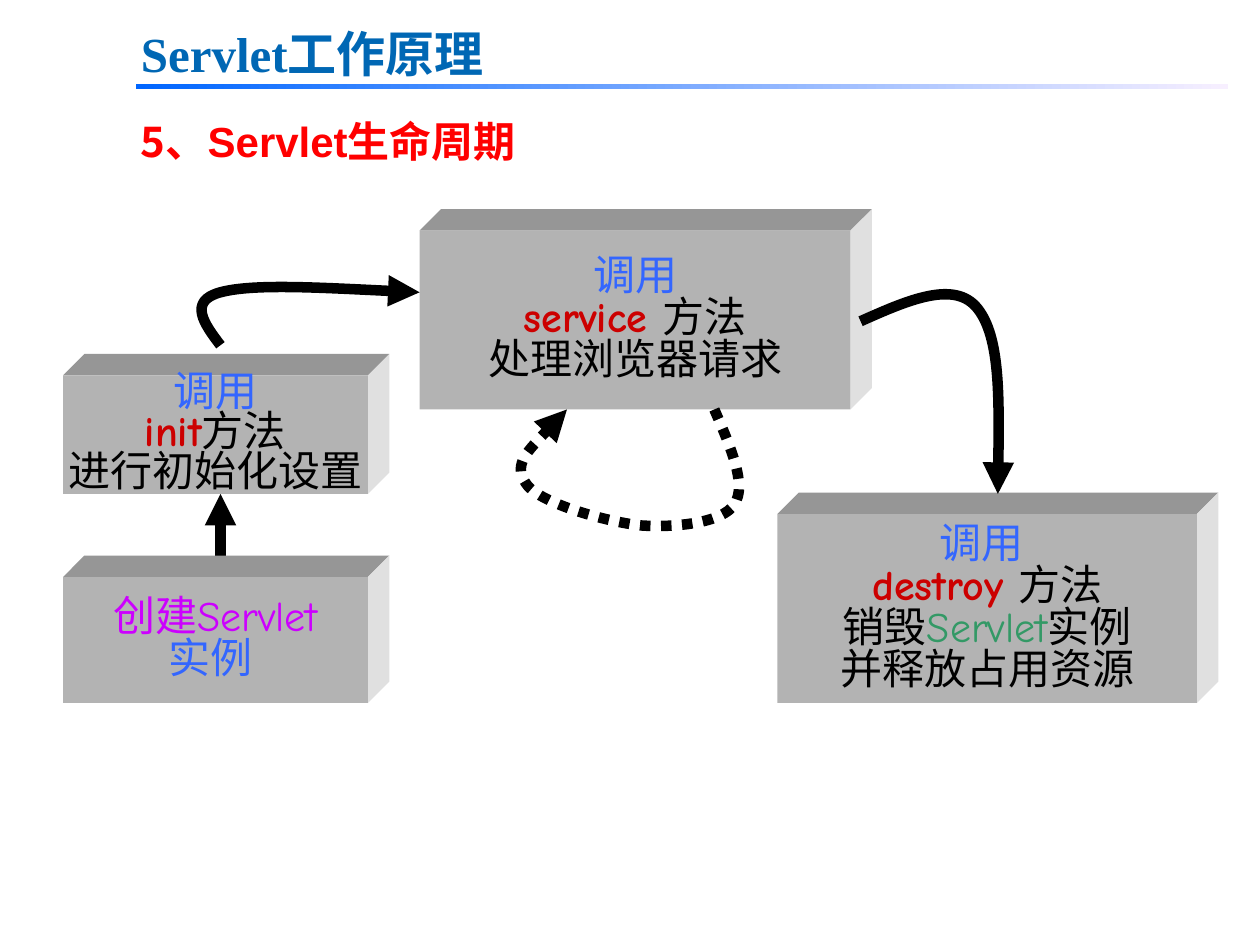
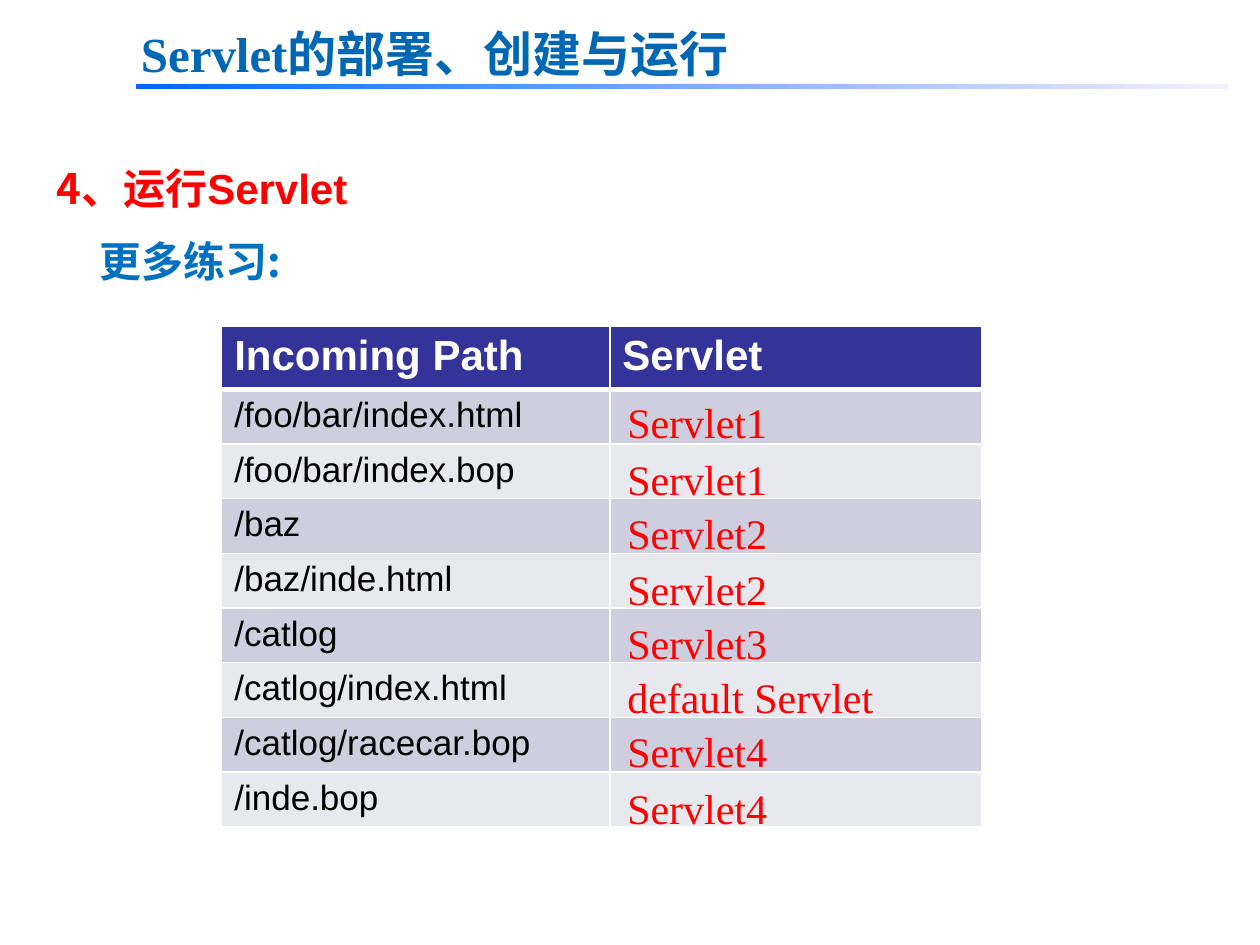
import pptx
import pptx.util
import pptx.dml.color
import pptx.enum.dml
import pptx.enum.shapes
import pptx.enum.text
import pptx.oxml
import pptx.oxml.ns

Inches = pptx.util.Inches
Pt = pptx.util.Pt
RGB = pptx.dml.color.RGBColor
ALIGN = pptx.enum.text.PP_ALIGN
RECT = pptx.enum.shapes.MSO_SHAPE.RECTANGLE
qn = pptx.oxml.ns.qn
NS = pptx.oxml.ns.nsdecls("a")

# Colours and fonts
TITLE_BLUE, NOTE_BLUE = RGB(0, 0x67, 0xB4), RGB(0, 0x70, 0xC0)
RULE_START, RULE_END = RGB(0, 0x66, 0xFF), RGB(0xF7, 0xEF, 0xFF)
RED, DARK_RED = RGB(0xFF, 0, 0), RGB(0xCC, 0, 0)
CALL_BLUE, PURPLE, GREEN = RGB(0x33, 0x66, 0xFF), RGB(0xCC, 0, 0xFF), RGB(0x33, 0x99, 0x66)
BLACK, WHITE = RGB(0, 0, 0), RGB(0xFF, 0xFF, 0xFF)
FRONT, TOP, SIDE = RGB(0xB3, 0xB3, 0xB3), RGB(0x96, 0x96, 0x96), RGB(0xE0, 0xE0, 0xE0)
HEADER, BANDS = RGB(0x33, 0x33, 0x99), (RGB(0xCE, 0xCE, 0xDE), RGB(0xE8, 0xE8, 0xEF))
CJK, SANS, SERIF, COMIC = "Noto Sans CJK SC", "Arial", "Times New Roman", "Comic Neue"
DEPTH = 0.17  # depth of the solid boxes


def add_run(p, text, font, color, size=24, bold=False):
    r = p.add_run()
    r.text = text
    r.font.name, r.font.size, r.font.bold = font, Pt(size), bold
    r.font.color.rgb = color
    ea = pptx.oxml.parse_xml(f'<a:ea {NS} typeface="{CJK}"/>')
    r.font._element.find(qn("a:latin")).addnext(ea)


def add_text(s, x, y, w, h, runs, align=ALIGN.LEFT, spacing=None):
    tf = s.shapes.add_textbox(Inches(x), Inches(y), Inches(w), Inches(h)).text_frame
    tf.word_wrap = True
    p = tf.paragraphs[0]
    p.alignment = align
    p.line_spacing = spacing
    for run in runs:
        add_run(p, *run)


def add_titled_slide(prs, title, width):
    s = prs.slides.add_slide(prs.slide_layouts[6])
    rule = s.shapes.add_shape(RECT, Inches(1.08), Inches(0.67), Inches(8.67), Inches(0.04))
    rule.shadow.inherit = False
    rule.line.fill.background()
    rule.fill.gradient()
    rule.fill.gradient_angle = 0
    for stop, color in zip(rule.fill.gradient_stops, (RULE_START, RULE_END)):
        stop.color.rgb = color
    add_text(s, 1.02, 0.14, width, 0.57, [(title, SERIF, TITLE_BLUE, 28, True)], ALIGN.JUSTIFY)
    return s


def add_outline(s, points, close):
    pts = [(Inches(x), Inches(y)) for x, y in points]
    builder = s.shapes.build_freeform(*pts[0])
    builder.add_line_segments(pts[1:], close=close)
    sp = builder.convert_to_shape()
    sp.shadow.inherit = False
    return sp


def paint(sp, color):
    sp.fill.solid()
    sp.fill.fore_color.rgb = color
    sp.line.fill.background()


def add_solid_box(s, x, y, w, h, lines, spacing=24):
    """Box with a top and a side face; lines holds the runs of each paragraph."""
    right, bottom, d = x + w, y + h, DEPTH
    top = [(x, y), (x + d, y - d), (right + d, y - d), (right, y)]
    side = [(right, y), (right + d, y - d), (right + d, bottom - d), (right, bottom)]
    for face, color in ((top, TOP), (side, SIDE)):
        paint(add_outline(s, face, True), color)
    sp = s.shapes.add_shape(RECT, Inches(x), Inches(y), Inches(w), Inches(h))
    sp.shadow.inherit = False
    paint(sp, FRONT)
    tf = sp.text_frame
    tf.word_wrap = False
    tf.vertical_anchor = pptx.enum.text.MSO_ANCHOR.MIDDLE
    for i, runs in enumerate(lines):
        p = tf.add_paragraph() if i else tf.paragraphs[0]
        p.alignment = ALIGN.CENTER
        p.line_spacing = Pt(spacing)
        p._p.get_or_add_pPr().set("rtl", "1")
        for run in runs:
            add_run(p, *run)


def style_arrow(sp, dash=None):
    sp.line.color.rgb = BLACK
    sp.line.width = Pt(6)
    if dash:
        sp.line.dash_style = dash
    sp.line._get_or_add_ln().append(pptx.oxml.parse_xml(f'<a:tailEnd {NS} type="triangle"/>'))


def add_straight_arrow(s, x1, y1, x2, y2):
    line = s.shapes.add_connector(pptx.enum.shapes.MSO_CONNECTOR.STRAIGHT,
                                  Inches(x1), Inches(y1), Inches(x2), Inches(y2))
    style_arrow(line)
    line._element.spPr.append(pptx.oxml.parse_xml(f"<a:effectLst {NS}/>"))


def add_curved_arrow(s, points, dash=None):
    """Start point, then two control points and an end point per curve."""
    sp = add_outline(s, points, False)
    sp.fill.background()
    segments = list(sp._element.iter(qn("a:lnTo")))
    for i in range(0, len(segments), 3):
        curve = pptx.oxml.parse_xml(f"<a:cubicBezTo {NS}/>")
        segments[i].addprevious(curve)
        for segment in segments[i:i + 3]:
            curve.append(segment[0])
            segment.getparent().remove(segment)
    style_arrow(sp, dash)


def add_cell(cell, text, fill, color, size, bold, bottom=1):
    # Borders come before the fill in the cell properties
    tc_pr = cell._tc.get_or_add_tcPr()
    for side, width in (("L", 1), ("R", 1), ("T", 1), ("B", bottom)):
        tc_pr.append(pptx.oxml.parse_xml(
            f'<a:ln{side} {NS} w="{Pt(width)}"><a:solidFill>'
            f'<a:srgbClr val="{WHITE}"/></a:solidFill></a:ln{side}>'))
    cell.fill.solid()
    cell.fill.fore_color.rgb = fill
    if text:
        add_run(cell.text_frame.paragraphs[0], text, SANS, color, size, bold)


def build_life_cycle(prs):
    s = add_titled_slide(prs, "Servlet工作原理", 5.09)
    add_text(s, 1.02, 0.87, 5.17, 0.5,
             [("5、", CJK, RED, 24, True), ("Servlet生命周期", SANS, RED, 24, True)])

    # Stages; the first arrow starts behind the top face of its box
    add_straight_arrow(s, 1.75, 4.5, 1.75, 3.92)
    add_solid_box(s, 0.5, 2.98, 2.42, 0.94, [
        [(" 调用 ", CJK, CALL_BLUE)],
        [("init", COMIC, DARK_RED, 24, True), ("方法", COMIC, BLACK)],
        [("进行初始化设置", COMIC, BLACK)]], spacing=23)
    add_solid_box(s, 0.5, 4.58, 2.42, 1, [
        [("创建Servlet", COMIC, PURPLE)],
        [(" 实例", COMIC, CALL_BLUE)]])
    add_solid_box(s, 3.33, 1.83, 3.42, 1.42, [
        [("调用", CJK, CALL_BLUE)],
        [("service ", COMIC, DARK_RED, 24, True), ("方法", COMIC, BLACK)],
        [("处理浏览器请求", COMIC, BLACK)]])
    add_solid_box(s, 6.17, 4.08, 3.33, 1.5, [
        [(" 调用", CJK, CALL_BLUE)],
        [("destroy ", COMIC, DARK_RED, 24, True), ("方法", CJK, BLACK)],
        [("销毁", CJK, BLACK), ("Servlet", COMIC, GREEN), ("实例", CJK, BLACK)],
        [("并释放占用资源", CJK, BLACK)]])

    # Curved arrows between the stages
    add_curved_arrow(s, [(1.75, 2.74), (1.62, 2.57), (1.49, 2.39), (1.75, 2.32),
                         (2.01, 2.25), (2.67, 2.29), (3.33, 2.32)])
    add_curved_arrow(s, [(6.83, 2.55), (7.21, 2.38), (7.58, 2.22), (7.76, 2.45),
                         (7.94, 2.68), (7.93, 3.3), (7.92, 3.92)])
    add_curved_arrow(s, [(5.67, 3.25), (5.8, 3.55), (5.93, 3.85), (5.83, 4),
                         (5.74, 4.15), (5.36, 4.19), (5.08, 4.17),
                         (4.81, 4.14), (4.26, 3.99), (4.17, 3.83),
                         (4.07, 3.68), (4.29, 3.47), (4.5, 3.25)],
                     pptx.enum.dml.MSO_LINE.ROUND_DOT)


def build_exercises(prs):
    s = add_titled_slide(prs, "Servlet的部署、创建与运行", 6.54)
    add_text(s, 0.35, 1.04, 9.29, 0.78,
             [("4、运行", CJK, RED, 24, True), ("Servlet", SANS, RED, 24, True)],
             ALIGN.JUSTIFY, 1.5)
    add_text(s, 0.69, 1.82, 4.01, 0.5, [("更多练习:", CJK, NOTE_BLUE, 24, True)])

    # Paths, with the servlet that answers each and the top of that answer
    answers = [
        ("/foo/bar/index.html", "Servlet1", 3.1), ("/foo/bar/index.bop", "Servlet1", 3.55),
        ("/baz", "Servlet2", 3.98), ("/baz/inde.html", "Servlet2", 4.42),
        ("/catlog", "Servlet3", 4.85), ("/catlog/index.html", "default Servlet", 5.28),
        ("/catlog/racecar.bop", "Servlet4", 5.71), ("/inde.bop", "Servlet4", 6.16)]
    table = s.shapes.add_table(len(answers) + 1, 2, Inches(1.76), Inches(2.59),
                               Inches(6.03), Inches(3.97)).table
    table.horz_banding = False
    table.columns[0].width, table.columns[1].width = Inches(3.08), Inches(2.95)
    table.rows[0].height = Inches(0.5)
    for col, heading in enumerate(("Incoming Path", "Servlet")):
        add_cell(table.cell(0, col), heading, HEADER, WHITE, 24, True, bottom=3)
    for i, (url, servlet, top) in enumerate(answers):
        table.rows[i + 1].height = Inches((3.97 - 0.5) / len(answers))
        for col, text in enumerate((url, "")):
            add_cell(table.cell(i + 1, col), text, BANDS[i % 2], BLACK, 20, False)
        add_text(s, 4.88, top, 2.99, 0.5, [(servlet, SERIF, RED)])


def main():
    prs = pptx.Presentation()
    prs.slide_width, prs.slide_height = Inches(10), Inches(7.5)
    build_life_cycle(prs)
    build_exercises(prs)
    prs.save("out.pptx")


if __name__ == "__main__":
    main()
